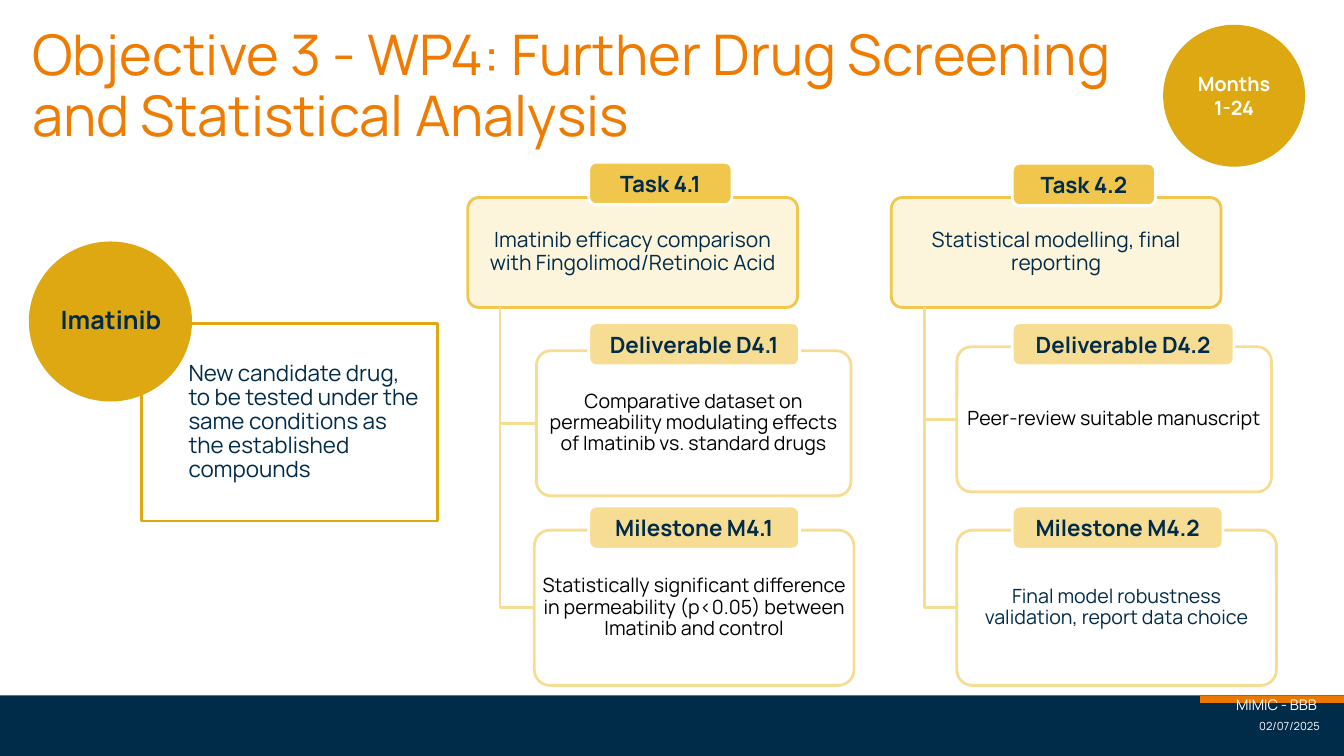
from lxml import etree
from pptx import Presentation
from pptx import util as u
from pptx.dml.color import RGBColor
from pptx.enum import shapes, text
from pptx.oxml.ns import qn

COLORS = {
    "navy": "002B49", "orange": "EF7B00", "accent": "EA7800",
    "gold": "DDA811", "amber": "F1C64C", "straw": "F7DD94",
    "cream": "FCF4DB", "white": "FFFFFF", "black": "000000",
}
RECTANGLE = shapes.MSO_SHAPE.RECTANGLE
ROUNDED = shapes.MSO_SHAPE.ROUNDED_RECTANGLE
OVAL = shapes.MSO_SHAPE.OVAL
LEFT, CENTER, RIGHT = text.PP_ALIGN.LEFT, text.PP_ALIGN.CENTER, text.PP_ALIGN.RIGHT
TOP, MIDDLE = text.MSO_ANCHOR.TOP, text.MSO_ANCHOR.MIDDLE
DEFAULT_INSETS = (0.1, 0.05, 0.1, 0.05)
CARD_INSETS = (0.03, 0.02, 0.03, 0.02)
TASK_TOP, TASK_WIDTH, TASK_HEIGHT = 1.96, 3.27, 1.09
TASK_BOTTOM = TASK_TOP + TASK_HEIGHT

# Cards are (left, top, width, height, wording, text colour);
# labels are (top, width, height, wording, fill).
WORK_COLUMNS = [
    {
        "task": (4.64, "Imatinib efficacy comparison with Fingolimod/Retinoic Acid"),
        "trunk": 4.96,
        "cards": [
            (5.32, 3.48, 3.12, 1.44, "Comparative dataset on permeability modulating "
             "effects of Imatinib vs. standard drugs", "black"),
            (5.3, 5.26, 3.17, 1.54, "Statistically significant difference in "
             "permeability (p<0.05) between Imatinib and control", "black"),
        ],
        "label_left": 5.84,
        "labels": [
            (1.61, 1.42, 0.42, "Task 4.1", "amber"),
            (3.2, 2.09, 0.43, "Deliverable D4.1", "straw"),
            (5.02, 2.09, 0.43, "Milestone M4.1", "straw"),
        ],
    },
    {
        "task": (8.84, "Statistical modelling, final reporting"),
        "trunk": 9.17,
        "cards": [
            (9.49, 3.44, 3.12, 1.44, "Peer-review suitable manuscript", "black"),
            (9.49, 5.26, 3.17, 1.54,
             "Final model robustness validation, report data choice", "navy"),
        ],
        "label_left": 10.04,
        "labels": [
            (1.62, 1.42, 0.42, "Task 4.2", "amber"),
            (3.2, 2.2, 0.43, "Deliverable D4.2", "straw"),
            (5.02, 2.09, 0.43, "Milestone M4.2", "straw"),
        ],
    },
]


def rgb(name):
    return RGBColor.from_string(COLORS[name])


class SlideBuilder:
    font = "Manrope"
    line_width = 2

    def __init__(self, slide):
        self.slide = slide

    def set_text(self, shape, wording, size, color, bold=False, align=LEFT,
                 anchor=TOP, insets=DEFAULT_INSETS, spacing=None):
        frame = shape.text_frame
        frame.word_wrap = True
        frame.auto_size = text.MSO_AUTO_SIZE.NONE
        frame.vertical_anchor = anchor
        (frame.margin_left, frame.margin_top,
         frame.margin_right, frame.margin_bottom) = map(u.Inches, insets)
        paragraph = frame.paragraphs[0]
        paragraph.alignment = align
        paragraph.line_spacing = spacing
        run = paragraph.add_run()
        run.text = wording
        run.font.name = self.font
        run.font.size = u.Pt(size)
        run.font.bold = bold
        run.font.color.rgb = rgb(color)

    def title(self, box, wording):
        shape = self.slide.shapes.title
        shape.left, shape.top, shape.width, shape.height = map(u.Inches, box)
        self.set_text(shape, wording, 40, "orange", spacing=0.9)

    def shape(self, kind, box, fill, line=None, opacity=None, corner=None):
        """Add a preset shape; opacity is a percentage for its fill."""
        shape = self.slide.shapes.add_shape(kind, *map(u.Inches, box))
        shape.shadow.inherit = False
        shape.fill.solid()
        shape.fill.fore_color.rgb = rgb(fill)
        if opacity:
            fill_color = shape._element.spPr.find(qn("a:solidFill"))[0]
            etree.SubElement(fill_color, qn("a:alpha"), val=str(opacity * 1000))
        if line:
            shape.line.color.rgb = rgb(line)
            shape.line.width = u.Pt(self.line_width)
        else:
            shape.line.fill.background()
        if corner:
            shape.adjustments[0] = corner
        return shape

    def text_box(self, box, wording, size, color, **style):
        shape = self.slide.shapes.add_textbox(*map(u.Inches, box))
        self.set_text(shape, wording, size, color, **style)

    def card(self, box, wording, size, color, fill, line, opacity=None):
        """Add a rounded outline with centred wording just inside it."""
        self.shape(ROUNDED, box, fill, line, opacity, corner=0.1)
        left, top, width, height = box
        inner = (left + 0.04, top + 0.04, width - 0.08, height - 0.08)
        self.text_box(inner, wording, size, color, align=CENTER, anchor=MIDDLE,
                      insets=CARD_INSETS, spacing=0.9)

    def label(self, kind, box, wording, size, color, fill, line):
        shape = self.shape(kind, box, fill, line)
        self.set_text(shape, wording, size, color, bold=True, align=CENTER,
                      anchor=MIDDLE)

    def elbow(self, trunk, top, end_left, end_top):
        """Draw the branch from a task down and across to a card."""
        builder = self.slide.shapes.build_freeform(
            u.Inches(trunk), u.Inches(top))
        builder.add_line_segments(
            [(u.Inches(trunk), u.Inches(end_top)),
             (u.Inches(end_left), u.Inches(end_top))], close=False)
        branch = builder.convert_to_shape()
        branch.shadow.inherit = False
        branch.fill.background()
        branch.line.color.rgb = rgb("straw")
        branch.line.width = u.Pt(self.line_width)

    def rule(self, start, end, color, width):
        connector = self.slide.shapes.add_connector(
            shapes.MSO_CONNECTOR.STRAIGHT, *map(u.Inches, start + end))
        connector.line.color.rgb = rgb(color)
        connector.line.width = u.Pt(width)
        etree.SubElement(connector._element.spPr, qn("a:effectLst"))

    def work_column(self, column):
        task_left, task_wording = column["task"]
        self.card((task_left, TASK_TOP, TASK_WIDTH, TASK_HEIGHT), task_wording,
                  15, "navy", "cream", "amber")
        for left, top, width, height, wording, color in column["cards"]:
            self.elbow(column["trunk"], TASK_BOTTOM, left, top + height / 2)
            self.card((left, top, width, height), wording, 14, color,
                      "white", "straw", opacity=90)
        for top, width, height, wording, fill in column["labels"]:
            self.label(ROUNDED, (column["label_left"], top, width, height),
                       wording, 16, "navy", fill, "white")


def main():
    presentation = Presentation()
    presentation.slide_width = u.Inches(13.33)
    presentation.slide_height = u.Inches(7.5)
    builder = SlideBuilder(presentation.slides.add_slide(presentation.slide_layouts[5]))

    builder.shape(RECTANGLE, (0, 6.9, 13.33, 0.6), "navy")
    builder.title((0.22, 0.22, 11.57, 1.45),
                  "Objective 3 - WP4: Further Drug Screening and Statistical Analysis")

    builder.shape(RECTANGLE, (1.4, 3.21, 2.94, 1.96), "white", "gold", opacity=90)
    builder.text_box((1.87, 3.21, 2.47, 1.96),
                     "New candidate drug, to be tested under the same conditions "
                     "as the established compounds", 16, "navy", anchor=MIDDLE,
                     insets=(0, 0.12, 0.12, 0.12), spacing=0.9)
    builder.shape(OVAL, (0.3, 2.41, 1.59, 1.56), "gold", "gold")
    builder.text_box((0.54, 2.64, 1.12, 1.1), "Imatinib", 18, "navy", bold=True,
                     align=CENTER, anchor=MIDDLE, insets=(0, 0, 0, 0), spacing=0.9)

    for column in WORK_COLUMNS:
        builder.work_column(column)

    builder.label(OVAL, (11.55, 0.26, 1.38, 1.38), "Months 1-24", 14,
                  "white", "gold", "gold")
    builder.rule((11.9, 6.94), (13.33, 6.94), "accent", 4.5)
    builder.text_box((3.95, 6.85, 9.21, 0.35), "MIMIC - BBB", 10.5, "white", align=RIGHT)
    builder.text_box((11.29, 7.09, 1.9, 0.43), "02/07/2025", 8, "white", align=RIGHT)

    presentation.save("out.pptx")


if __name__ == "__main__":
    main()
